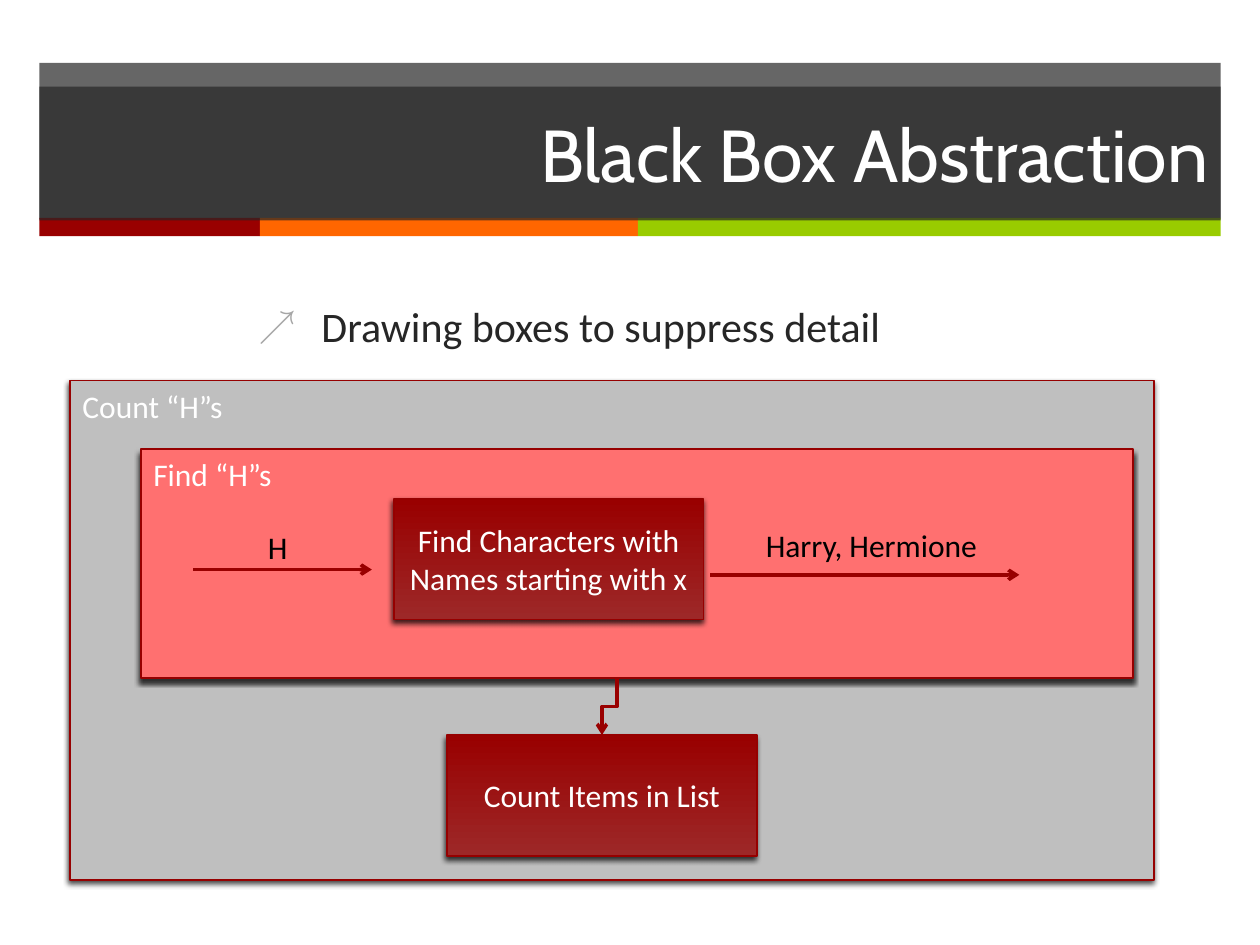
from lxml import etree
from pptx import Presentation
from pptx.dml.color import RGBColor
from pptx.enum.shapes import MSO_CONNECTOR, MSO_SHAPE
from pptx.enum.text import MSO_ANCHOR, MSO_AUTO_SIZE, PP_ALIGN
from pptx.oxml.ns import qn
from pptx.util import Pt

RECTANGLE = MSO_SHAPE.RECTANGLE
STRAIGHT, ELBOW = MSO_CONNECTOR.STRAIGHT, MSO_CONNECTOR.ELBOW
TOP, MIDDLE = MSO_ANCHOR.TOP, MSO_ANCHOR.MIDDLE
LEFT, CENTER, RIGHT = PP_ALIGN.LEFT, PP_ALIGN.CENTER, PP_ALIGN.RIGHT
NO_FIT, GROW = MSO_AUTO_SIZE.NONE, MSO_AUTO_SIZE.SHAPE_TO_FIT_TEXT
WHITE, BLACK, CHARCOAL = "FFFFFF", "000000", "262626"
RED, EDGE, BRICK = "990000", "960000", "9D2828"
BAND_LEFT, BAND_WIDTH = 22.5, 675
STEP_SIZE = (177, 69)


def color(value):
    """Turn a hex string into a colour."""
    return RGBColor.from_string(value)


def add_xml(parent, tag, **attributes):
    """Append a drawing element to a parent and return it."""
    names = {name: str(value) for name, value in attributes.items()}
    return etree.SubElement(parent, qn(tag), names)


def fill_solid(shape, value, opacity=100):
    """Fill a shape with one colour, translucent if asked."""
    shape.fill.solid()
    shape.fill.fore_color.rgb = color(value)
    if opacity < 100:
        tint = next(shape.element.spPr.iter(qn("a:srgbClr")))
        add_xml(tint, "a:alpha", val=opacity * 1000)


def write(shape, text, size, value, align=LEFT, anchor=TOP, font="Calibri", fit=NO_FIT):
    """Write one formatted paragraph into a shape and return it."""
    frame = shape.text_frame
    frame.text = text
    frame.word_wrap = True
    frame.auto_size = fit
    frame.vertical_anchor = anchor
    para = frame.paragraphs[0]
    para.alignment = align
    para.font.name = font
    para.font.size = Pt(size)
    para.font.color.rgb = color(value)
    return para


def place(shape, left, top, width, height):
    """Move and size a shape."""
    shape.left, shape.top = Pt(left), Pt(top)
    shape.width, shape.height = Pt(width), Pt(height)


def add_bar(slide, left, top, width, height, value, opacity=100):
    """Add a flat rectangle without an outline."""
    bar = slide.shapes.add_shape(RECTANGLE, Pt(left), Pt(top), Pt(width), Pt(height))
    bar.shadow.inherit = False
    bar.line.fill.background()
    fill_solid(bar, value, opacity)


def add_box(slide, left, top, width, height):
    """Add a red-edged rectangle with a soft shadow."""
    box = slide.shapes.add_shape(RECTANGLE, Pt(left), Pt(top), Pt(width), Pt(height))
    box.line.color.rgb = color(EDGE)
    box.line.width = Pt(1)
    box.shadow.inherit = False
    effects = box.element.spPr.find(qn("a:effectLst"))
    shadow = add_xml(effects, "a:outerShdw", blurRad=Pt(3), dist=Pt(2),
                     dir=110 * 60000, rotWithShape=0)
    add_xml(add_xml(shadow, "a:srgbClr", val=BLACK), "a:alpha", val=75000)
    return box


def add_container(slide, area, value, text):
    """Add an abstraction box labelled in its top left corner."""
    box = add_box(slide, *area)
    fill_solid(box, value)
    write(box, text, 18, WHITE)


def add_step(slide, left, top, text):
    """Add a gradient box with a centred label."""
    box = add_box(slide, left, top, *STEP_SIZE)
    box.fill.gradient()
    box.fill.gradient_angle = 90
    for stop, value in zip(box.fill.gradient_stops, (BRICK, RED)):
        stop.color.rgb = color(value)
    write(box, text, 18, WHITE, CENTER, MIDDLE)


def add_arrow(slide, kind, left, top, right, bottom, turn=0):
    """Add a red arrow, turned clockwise by some degrees."""
    arrow = slide.shapes.add_connector(kind, Pt(left), Pt(top), Pt(right), Pt(bottom))
    arrow.line.color.rgb = color(RED)
    arrow.line.width = Pt(2)
    properties = arrow.element.spPr
    add_xml(properties.find(qn("a:ln")), "a:tailEnd", type="arrow")
    add_xml(properties, "a:effectLst")
    if turn:
        properties.find(qn("a:xfrm")).set("rot", str(turn * 60000))


def add_label(slide, left, top, width, text):
    """Add a black caption for an arrow."""
    label = slide.shapes.add_textbox(Pt(left), Pt(top), Pt(width), Pt(29))
    write(label, text, 18, BLACK, fit=GROW)


def add_header(slide):
    """Build the title band and its coloured stripes."""
    add_bar(slide, BAND_LEFT, 36, BAND_WIDTH, 89, CHARCOAL, 70)
    left = BAND_LEFT
    for width, value in ((126, RED), (216, "FF6600"), (333, "99CC00")):
        add_bar(slide, left, 124.5, width, 10.5, value)
        left += width
    title = slide.shapes.title
    slide.shapes.element.append(title.element)
    place(title, BAND_LEFT, 49.5, BAND_WIDTH, 76.5)
    fill_solid(title, CHARCOAL, 70)
    write(title, "Black Box Abstraction", 42, WHITE, RIGHT, MIDDLE, "Cabin")


def add_bullet(slide):
    """Build the bulleted statement."""
    body = slide.placeholders[1]
    slide.shapes.element.append(body.element)
    place(body, 140.5, 168, 557, 314.5)
    para = write(body, "Drawing boxes to suppress detail", 24, CHARCOAL)
    para.space_before = Pt(20)
    properties = para.font._element.getparent()
    properties.set("marL", str(Pt(36)))
    properties.set("indent", str(Pt(-36)))
    bullet = [etree.Element(qn(tag)) for tag in ("a:buClr", "a:buSzPct", "a:buChar")]
    add_xml(bullet[0], "a:srgbClr", val="A6A6A6")
    bullet[1].set("val", "90000")
    bullet[2].set("char", "↗")
    for part in bullet:
        properties.insert_element_before(part, "a:tabLst", "a:defRPr", "a:extLst")


def main():
    """Build the slide and save it."""
    deck = Presentation()
    deck.slide_width, deck.slide_height = Pt(720), Pt(540)
    slide = deck.slides.add_slide(deck.slide_layouts[1])
    add_header(slide)
    add_container(slide, (40, 217.5, 619.5, 285.5), "BFBFBF", "Count “H”s")
    add_container(slide, (80.5, 256.5, 567, 131), "FF7070", "Find “H”s")
    add_bullet(slide)
    add_step(slide, 225, 285, "Find Characters with Names starting with x")
    add_arrow(slide, STRAIGHT, 110.5, 325.5, 212.5, 325.5)
    add_label(slide, 146, 298, 67.5, "H")
    add_arrow(slide, STRAIGHT, 406, 328.5, 582.5, 328.5)
    add_label(slide, 430.5, 297, 153.5, "Harry, Hermione")
    add_step(slide, 255.5, 420, "Count Items in List")
    add_arrow(slide, ELBOW, 332, 399.5, 364.5, 408, 90)
    deck.save("out.pptx")


if __name__ == "__main__":
    main()
